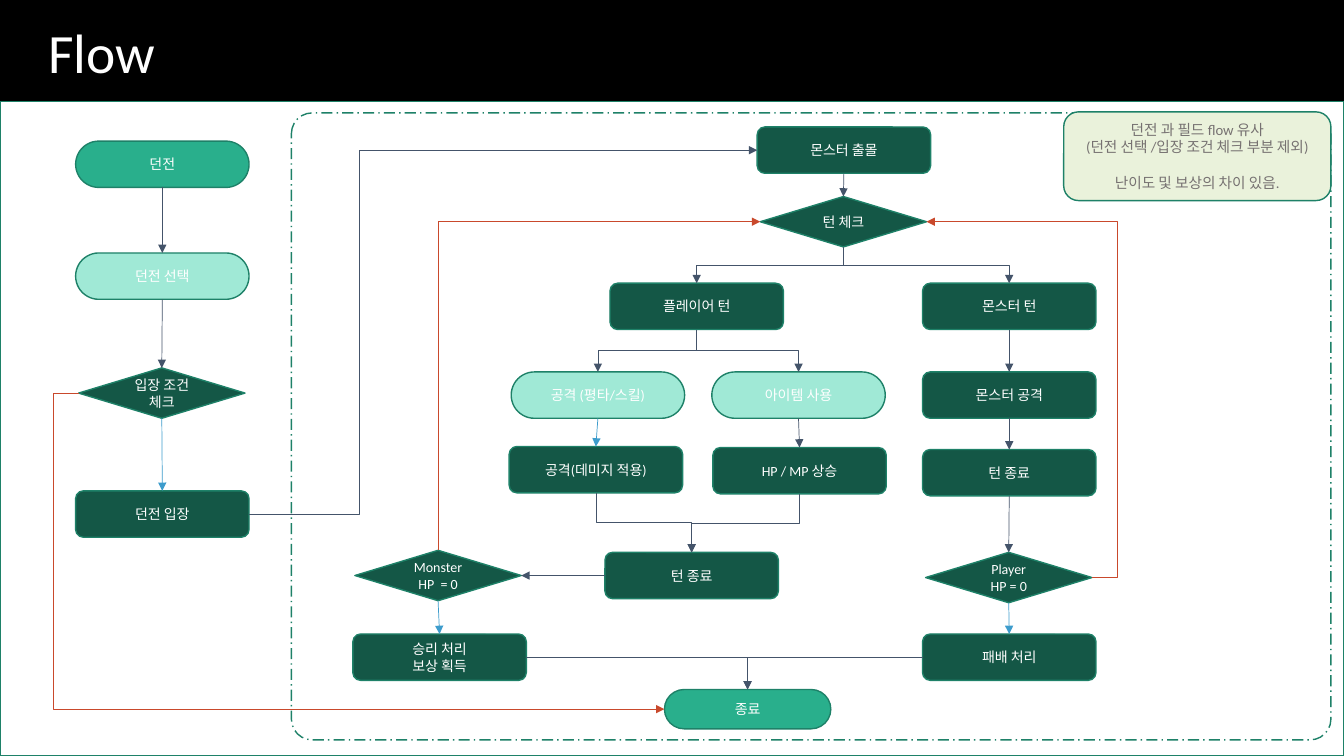
"""Build the dungeon flow slide."""
from dataclasses import dataclass
from enum import IntEnum
from typing import NamedTuple, Optional

from lxml.etree import SubElement
from pptx import Presentation
from pptx.dml.color import RGBColor
from pptx.enum.dml import MSO_LINE
from pptx.enum.shapes import MSO_CONNECTOR, MSO_SHAPE
from pptx.enum.text import MSO_ANCHOR, PP_ALIGN
from pptx.oxml.ns import qn
from pptx.util import Inches, Pt

FONT = "Calibri"
COLOURS = {
    "black": "000000", "white": "FFFFFF", "outline": "1E8168",
    "dark": "145746", "medium": "29AF8C", "light": "A0E9D6",
    "note": "EAF2DB", "note text": "767171",
    "flow": "44546A", "pass": "3D9CCC", "return": "C9492C",
}


class Side(IntEnum):
    """Connection sites of a step."""
    TOP = 0
    LEFT = 1
    BOTTOM = 2
    RIGHT = 3

    @property
    def is_vertical(self) -> bool:
        """Tell whether a line leaves this side vertically."""
        return self in (Side.TOP, Side.BOTTOM)


class Style(NamedTuple):
    """Look shared by all steps of one kind."""
    preset: MSO_SHAPE
    fill: Optional[str]
    width: float = 1.72
    height: float = 0.46
    radius: Optional[float] = None


@dataclass
class Step:
    """One step of the flow."""
    text: str
    kind: str
    left: float
    top: float


@dataclass
class Link:
    """An arrow between two steps, bent at a share of its run if given."""
    start: str
    end: str
    colour: str = "flow"
    leave: Side = Side.BOTTOM
    enter: Side = Side.TOP
    bend: Optional[float] = None


ROUND = MSO_SHAPE.ROUNDED_RECTANGLE
STYLES = {
    "area": Style(MSO_SHAPE.RECTANGLE, "white", 13.33, 6.49),
    "field": Style(ROUND, None, 10.31, 6.22, 0.033),
    "note": Style(ROUND, "note", 2.65, 0.88),
    "start": Style(ROUND, "medium", radius=0.5),
    "end": Style(ROUND, "medium", 1.65, 0.39, 0.5),
    "choice": Style(ROUND, "light", radius=0.5),
    "process": Style(ROUND, "dark"),
    "check": Style(MSO_SHAPE.FLOWCHART_DECISION, "dark", 1.65, 0.5),
}

ENTRY, MONSTER = 0.75, 9.15
STEPS = {
    "dungeon": Step("던전", "start", ENTRY, 1.4),
    "select": Step("던전 선택", "choice", ENTRY, 2.51),
    "condition": Step("입장 조건 체크", "check", 0.78, 3.65),
    "enter": Step("던전 입장", "process", ENTRY, 4.87),
    "spawn": Step("몬스터 출몰", "process", 7.51, 1.26),
    "turn check": Step("턴 체크", "check", 7.54, 1.95),
    "player turn": Step("플레이어 턴", "process", 6.05, 2.81),
    "attack": Step("공격 (평타/스킬)", "choice", 5.07, 3.69),
    "damage": Step("공격(데미지 적용)", "process", 5.05, 4.43),
    "item": Step("아이템 사용", "choice", 7.06, 3.69),
    "recovery": Step("HP / MP 상승", "process", 7.07, 4.44),
    "player end": Step("턴 종료", "process", 6, 5.48),
    "monster hp": Step("Monster\nHP  = 0", "check", 3.52, 5.46),
    "victory": Step("승리 처리\n보상 획득", "process", 3.5, 6.29),
    "monster turn": Step("몬스터 턴", "process", MONSTER, 2.81),
    "monster attack": Step("몬스터 공격", "process", MONSTER, 3.69),
    "monster end": Step("턴 종료", "process", MONSTER, 4.46),
    "player hp": Step("Player\nHP = 0", "check", 9.18, 5.48),
    "defeat": Step("패배 처리", "process", MONSTER, 6.29),
    "end": Step("종료", "end", 6.59, 6.84),
}

LINKS = [
    Link("dungeon", "select"),
    Link("select", "condition"),
    Link("condition", "enter", "pass"),
    Link("condition", "end", "return", Side.LEFT, Side.LEFT, -0.043),
    Link("enter", "spawn", "flow", Side.RIGHT, Side.LEFT, 0.217),
    Link("spawn", "turn check"),
    Link("turn check", "player turn", bend=0.5),
    Link("turn check", "monster turn", bend=0.5),
    Link("player turn", "attack", bend=0.5),
    Link("player turn", "item", bend=0.5),
    Link("attack", "damage", "pass"),
    Link("item", "recovery"),
    Link("damage", "player end", bend=0.5),
    Link("recovery", "player end", bend=0.5),
    Link("player end", "monster hp", "flow", Side.LEFT, Side.RIGHT),
    Link("monster hp", "turn check", "return", Side.TOP, Side.LEFT),
    Link("monster hp", "victory", "pass"),
    Link("monster turn", "monster attack"),
    Link("monster attack", "monster end"),
    Link("monster end", "player hp"),
    Link("player hp", "turn check", "return", Side.RIGHT, Side.RIGHT, -0.153),
    Link("player hp", "defeat", "pass"),
    Link("victory", "end", leave=Side.RIGHT),
    Link("defeat", "end", leave=Side.LEFT),
]


def rgb(colour: str):
    """Return the named colour."""
    return RGBColor.from_string(COLOURS[colour])


def draw_step(slide, step: Step, size: float = 10, text_colour: str = "white"):
    """Draw a step in the style of its kind."""
    style = STYLES[step.kind]
    box = slide.shapes.add_shape(
        style.preset, Inches(step.left), Inches(step.top),
        Inches(style.width), Inches(style.height))
    box.shadow.inherit = False
    if style.radius is not None:
        box.adjustments[0] = style.radius
    if style.fill:
        box.fill.solid()
        box.fill.fore_color.rgb = rgb(style.fill)
    else:
        box.fill.background()
    box.line.color.rgb = rgb("outline")
    box.line.width = Pt(1)
    if step.text:
        box.text_frame.text = step.text
        for paragraph in box.text_frame.paragraphs:
            paragraph.alignment = PP_ALIGN.CENTER
            paragraph.font.name = FONT
            paragraph.font.size = Pt(size)
            paragraph.font.color.rgb = rgb(text_colour)
    return box


def turn_upright(arrow) -> None:
    """Rotate an elbow so that it leaves its first step vertically."""
    rightward = arrow.end_x > arrow.begin_x
    downward = arrow.end_y > arrow.begin_y
    reverse = rightward and downward
    width, height = arrow.width, arrow.height
    arrow.left += (width - height) // 2
    arrow.top += (height - width) // 2
    arrow.width, arrow.height = height, width
    frame = arrow._element.spPr.find(qn("a:xfrm"))
    frame.set("rot", str((270 if reverse else 90) * 60000))
    frame.set("flipH", str(int(reverse or not downward)))
    frame.set("flipV", str(int(rightward and not reverse)))


def draw_link(slide, link: Link, boxes: dict) -> None:
    """Draw an arrow glued to the two steps it joins."""
    corner = link.leave.is_vertical != link.enter.is_vertical
    bent = corner or link.bend is not None
    kind = MSO_CONNECTOR.ELBOW if bent else MSO_CONNECTOR.STRAIGHT
    arrow = slide.shapes.add_connector(kind, 0, 0, 0, 0)
    arrow.begin_connect(boxes[link.start], link.leave.value)
    arrow.end_connect(boxes[link.end], link.enter.value)
    arrow.line.color.rgb = rgb(link.colour)
    arrow.line.width = Pt(0.5)
    properties = arrow._element.spPr
    SubElement(properties.find(qn("a:ln")), qn("a:tailEnd"), type="triangle")
    SubElement(properties, qn("a:effectLst"))
    geometry = properties.find(qn("a:prstGeom"))
    if corner:
        geometry.set("prst", "bentConnector2")
    elif bent:
        SubElement(geometry.find(qn("a:avLst")), qn("a:gd"), name="adj1",
                   fmla=f"val {round(link.bend * 100000)}")
    if bent and link.leave.is_vertical:
        turn_upright(arrow)


def draw_title(slide) -> None:
    """Place and format the slide title."""
    title = slide.shapes.title
    title.left, title.top = Inches(0.38), Inches(0.19)
    title.width, title.height = Inches(11.68), Inches(0.72)
    title.text_frame.text = "Flow"
    title.text_frame.vertical_anchor = MSO_ANCHOR.MIDDLE
    heading = title.text_frame.paragraphs[0]
    heading.alignment = PP_ALIGN.LEFT
    heading.line_spacing = 0.9
    heading.font.name = FONT
    heading.font.size = Pt(39.6)
    heading.font.color.rgb = rgb("white")


def main() -> None:
    """Build and save the slide."""
    deck = Presentation()
    deck.slide_width, deck.slide_height = Inches(13.33), Inches(7.5)
    slide = deck.slides.add_slide(deck.slide_layouts[5])
    slide.background.fill.solid()
    slide.background.fill.fore_color.rgb = rgb("black")
    draw_title(slide)
    draw_step(slide, Step("", "area", 0, 1.01))
    boxes = {name: draw_step(slide, step) for name, step in STEPS.items()}
    for link in LINKS:
        draw_link(slide, link, boxes)
    field = draw_step(slide, Step("", "field", 2.89, 1.12))
    field.line.dash_style = MSO_LINE.LONG_DASH_DOT
    note = draw_step(slide, Step(
        "던전 과 필드 flow 유사\n(던전 선택 /입장 조건 체크 부분 제외)\n"
        "난이도 및 보상의 차이 있음.", "note", 10.55, 1.11), 10.5, "note text")
    note.text_frame.paragraphs[-1].space_before = Pt(13)
    deck.save("out.pptx")


main()
